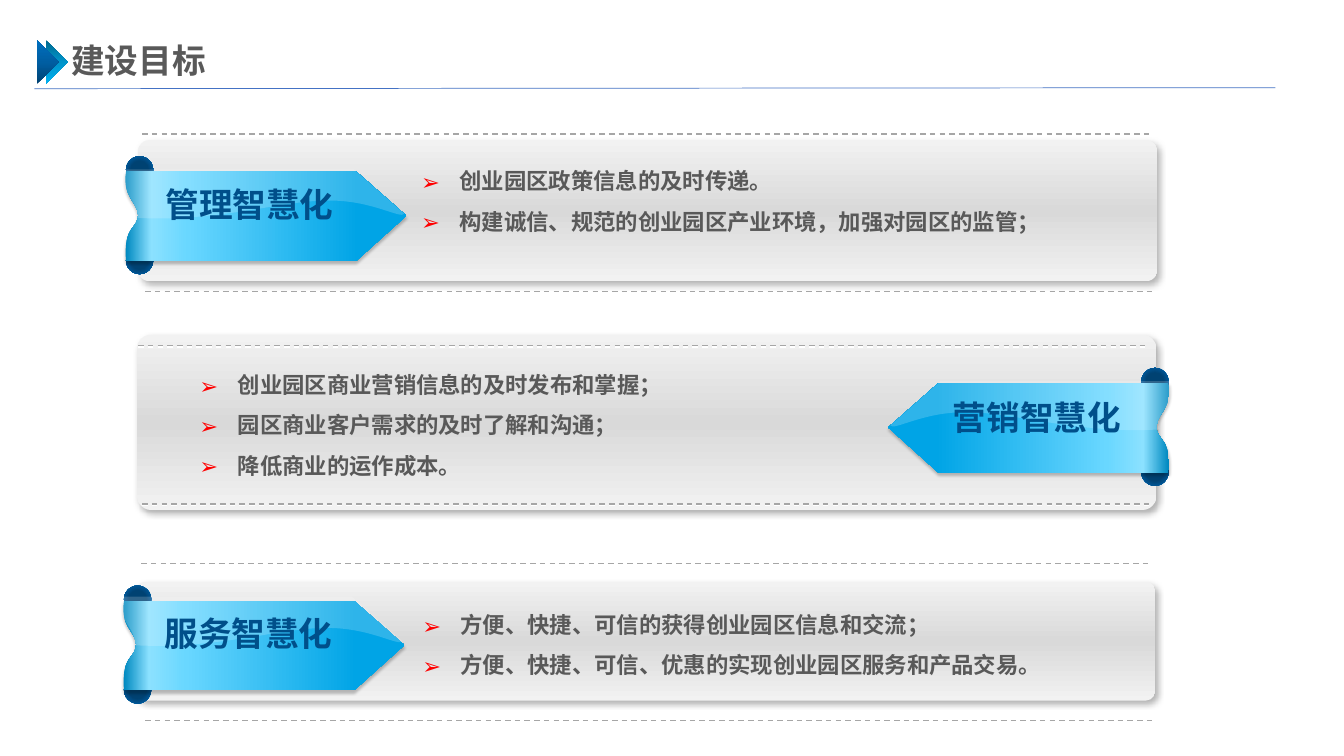
import pptx
import pptx.util
import pptx.dml.color
import pptx.enum.dml
import pptx.enum.shapes
import pptx.enum.text
import pptx.oxml
import pptx.oxml.ns
import lxml.etree

TITLE = "建设目标"
SECTIONS = [
    dict(label="管理智慧化", font="Noto Sans CJK SC", panel=(1.37, 1.39, 1.4), side=1,
         ribbon=(1.25, 1.7), gloss=0.02, label_at=(1.36, 1.85), body=(4.08, 1.48, 7.64, 1.05),
         rules=((1.41, 1.33), (1.44, 2.89)),
         points=["创业园区政策信息的及时传递。",
                 "构建诚信、规范的创业园区产业环境，加强对园区的监管；"]),
    dict(label="营销智慧化", font="Arial Narrow", panel=(1.36, 3.32, 1.74), side=-1,
         ribbon=(11.59, 3.8), gloss=0.02, label_at=(9.17, 3.97), body=(1.88, 3.5, 6.18, 1.51),
         rules=((1.37, 3.43), (1.41, 5)),
         points=["创业园区商业营销信息的及时发布和掌握；",
                 "园区商业客户需求的及时了解和沟通；",
                 "降低商业的运作成本。"]),
    dict(label="服务智慧化", font="Arial Narrow", panel=(1.35, 5.77, 1.18), side=1,
         ribbon=(1.23, 5.96), gloss=0.04, label_at=(1.35, 6.11), body=(4.09, 5.88, 7.32, 1.05),
         rules=((1.4, 5.59), (1.44, 7.15)),
         points=["方便、快捷、可信的获得创业园区信息和交流；",
                 "方便、快捷、可信、优惠的实现创业园区服务和产品交易。"]),
]

THEME = dict(
    font="Noto Sans CJK SC", title=24, label=24, body=16,
    text="595959", label_color="004F8A", bullet="FF0000", rule="A6A6A6", header_rule="4472C4",
    panel=[(0, "F2F2F2"), (50, "D9D9D9"), (100, "F2F2F2")],
    roll=[(44, "004272"), (81, "005EA2"), (100, "0070C0")],
    ribbon=[(0, "0089C0"), (9, "8BE1FF"), (22, "69D7FF"), (83, "00A4E6")],
    back=[(0, "00688E"), (50, "0094CA"), (100, "00B0F0")],
    front=[(0, "004272"), (50, "005EA2"), (100, "0070C0")],
    panel_shadow=("000000", 30, 4.5, 2.6, 53),
    ribbon_shadow=("000000", 23, 2, 2, 90),
    rule_shadow=("FFFFFF", 100, 0, 1, 90),
)

PANEL_W, RULE_W, ROLL = 10.11, 10.02, 0.27
RIBBON = [[(0, 0)], [(2.28, 0)], [(2.78, 0.44)], [(2.28, 0.89)], [(0, 0.89)],
          [(-0.03, 0.53), (0.12, 0.58), (0.12, 0.43)],
          [(0.11, 0.29), (-0.04, 0.26), (0, 0)]]
GLOSS = [[(0, 0)], [(2.28, 0)], [(2.78, 0.44)],
         [(2.75, 0.5), (2.45, 0.3), (2.01, 0.31)],
         [(1.56, 0.31), (0.91, 0.53), (0.11, 0.48)],
         [(0.11, 0.47), (0.12, 0.45), (0.12, 0.43)],
         [(0.12, 0.29), (-0.04, 0.26), (0, 0)]]

MSO = pptx.enum.shapes.MSO_SHAPE
inch = pptx.util.Inches
qn = pptx.oxml.ns.qn
rgb = pptx.dml.color.RGBColor.from_string

prs = pptx.Presentation()
prs.slide_width, prs.slide_height = inch(13.33), inch(7.5)
s = prs.slides.add_slide(prs.slide_layouts[6])


def add_xml(parent, tag, **attrs):
    return lxml.etree.SubElement(parent, qn(tag), {k: str(v) for k, v in attrs.items()})


def gradient(sp, stops, angle=None):
    sp.fill.solid()
    props = sp._element.spPr
    solid = props.find(qn("a:solidFill"))
    grad = add_xml(props, "a:gradFill", rotWithShape=1)
    stop_list = add_xml(grad, "a:gsLst")
    for pos, color in stops:
        add_xml(add_xml(stop_list, "a:gs", pos=pos * 1000), "a:srgbClr", val=color)
    if angle is None:
        add_xml(add_xml(grad, "a:path", path="circle"), "a:fillToRect",
                l=50000, t=50000, r=50000, b=50000)
    else:
        add_xml(grad, "a:lin", ang=angle * 60000, scaled=0)
    props.replace(solid, grad)


def effects(sp, shadow=None):
    effect = add_xml(sp._element.spPr, "a:effectLst")
    if shadow:
        color, alpha, blur, dist, angle = shadow
        outer = add_xml(effect, "a:outerShdw", blurRad=int(blur * 12700), dist=int(dist * 12700),
                        dir=angle * 60000, algn="ctr", rotWithShape=0)
        add_xml(add_xml(outer, "a:srgbClr", val=color), "a:alpha", val=alpha * 1000)


def preset(kind, at, stops, angle=None, shadow=None, rotation=0):
    sp = s.shapes.add_shape(kind, *map(inch, at))
    sp.rotation = rotation
    sp.line.fill.background()
    gradient(sp, stops, angle)
    effects(sp, shadow)
    return sp


def outline(segments, x, y, side, shadow=None):
    placed = [[(inch(x + side * dx), inch(y + dy)) for dx, dy in seg] for seg in segments]
    builder = s.shapes.build_freeform(*placed[0][0])
    builder.add_line_segments([seg[-1] for seg in placed[1:]], close=True)
    sp = builder.convert_to_shape()
    lines = list(sp._element.spPr.iter(qn("a:lnTo")))
    for line, seg in zip(lines, placed[1:]):
        if len(seg) == 3:
            curve = add_xml(line.getparent(), "a:cubicBezTo")
            for px, py in seg:
                add_xml(curve, "a:pt", x=px - sp.left, y=py - sp.top)
            line.getparent().replace(line, curve)
    sp.line.fill.background()
    effects(sp, shadow)
    return sp


def rule(x1, y1, x2, y2, color, width, dash=None, shadow=None):
    line = s.shapes.add_connector(pptx.enum.shapes.MSO_CONNECTOR.STRAIGHT,
                                  *map(inch, (x1, y1, x2, y2)))
    line.line.color.rgb = rgb(color)
    line.line.width = pptx.util.Pt(width)
    if dash:
        line.line.dash_style = dash
    effects(line, shadow)


def text(lines, at, size, color, font=THEME["font"], spacing=None, align=None,
         bullet=None, wrap=True):
    tf = s.shapes.add_textbox(*map(inch, at)).text_frame
    tf.word_wrap = wrap
    tf.auto_size = pptx.enum.text.MSO_AUTO_SIZE.SHAPE_TO_FIT_TEXT
    for i, content in enumerate(lines):
        p = tf.paragraphs[0] if i == 0 else tf.add_paragraph()
        p.alignment, p.line_spacing = align, spacing
        if bullet:
            props = p._p.get_or_add_pPr()
            props.set("marL", str(inch(0.38)))
            props.set("indent", str(-inch(0.38)))
            add_xml(add_xml(props, "a:buClr"), "a:srgbClr", val=THEME["bullet"])
            add_xml(props, "a:buFont", typeface=THEME["font"])
            add_xml(props, "a:buChar", char=bullet)
        r = p.add_run()
        r.text = content
        r.font.size, r.font.bold, r.font.name = pptx.util.Pt(size), True, font
        r.font.color.rgb = rgb(color)
        add_xml(r._r.get_or_add_rPr(), "a:ea", typeface=THEME["font"])


def ribbon(sec):
    x, y = sec["ribbon"]
    side = sec["side"]
    left = x if side > 0 else x - ROLL
    for dy in (0.75, -0.15):
        preset(MSO.OVAL, (left, y + dy, ROLL, ROLL), THEME["roll"])
    sp = outline(RIBBON, x, y, side, THEME["ribbon_shadow"])
    gradient(sp, THEME["ribbon"], 0 if side > 0 else 180)
    sp = outline(GLOSS, x - side * 0.02, y - sec["gloss"], side)
    sp.fill.solid()
    sp.fill.fore_color.rgb = rgb("FFFFFF")
    add_xml(sp._element.spPr.find(qn("a:solidFill"))[0], "a:alpha", val=18000)
    text([sec["label"]], (*sec["label_at"], 2.23, 0.58), THEME["label"], THEME["label_color"],
         font=sec["font"], spacing=0.8, align=pptx.enum.text.PP_ALIGN.CENTER)


for x, stops, angle in ((0.3, THEME["back"], 225), (0.21, THEME["front"], 45)):
    preset(MSO.RIGHT_TRIANGLE, (x, 0.46, 0.31, 0.31), stops, angle, rotation=225)
rule(0.34, 0.88, 12.65, 0.87, THEME["header_rule"], 0.5)
text([TITLE], (0.61, 0.35, 1.55, 0.5), THEME["title"], THEME["text"], wrap=False)

for sec in SECTIONS:
    x, y, h = sec["panel"]
    panel = preset(MSO.ROUNDED_RECTANGLE, (x, y, PANEL_W, h), THEME["panel"], 90,
                   THEME["panel_shadow"])
    panel.adjustments[0] = 0.08
    ribbon(sec)
    for x, y in sec["rules"]:
        rule(x, y, x + RULE_W, y, THEME["rule"], 1, pptx.enum.dml.MSO_LINE.DASH,
             THEME["rule_shadow"])
    text(sec["points"], sec["body"], THEME["body"], THEME["text"], spacing=1.5, bullet="➢")

prs.save("out.pptx")
